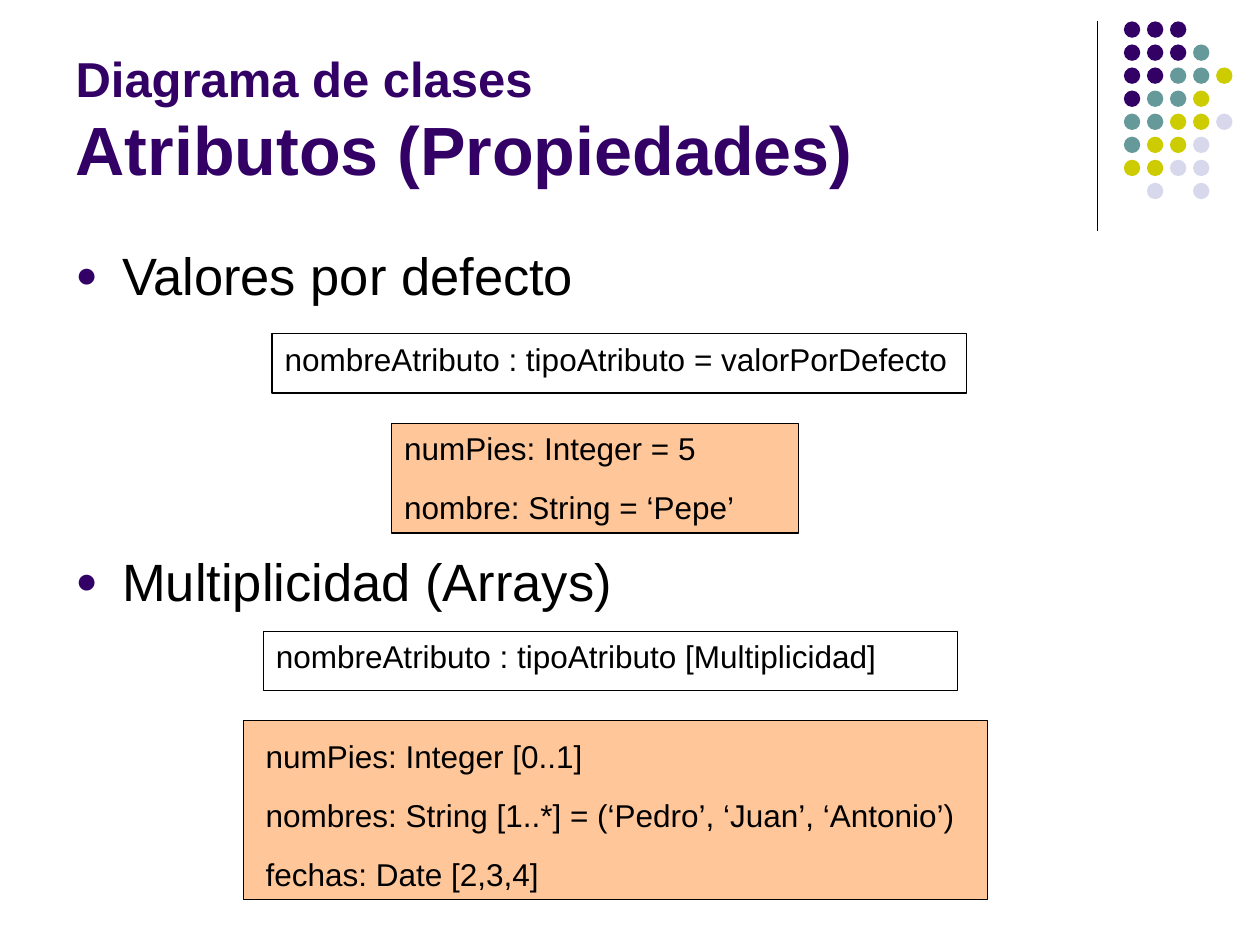
"""Builds a slide on class diagram attributes: default values and multiplicity."""
from lxml.etree import SubElement
from pptx import Presentation
from pptx.dml.color import RGBColor
from pptx.enum.shapes import MSO_CONNECTOR, MSO_SHAPE
from pptx.enum.text import MSO_ANCHOR, MSO_AUTO_SIZE, PP_ALIGN
from pptx.oxml.ns import qn
from pptx.util import Inches, Pt

COLORS = {
    "purple": "330066",
    "teal": "669999",
    "lime": "CCCC00",
    "lilac": "D8D8EC",
    "peach": "FFC799",
    "black": "000000",
}
DOT_COLORS = {"P": "purple", "T": "teal", "L": "lime", "G": "lilac"}
DOT_ROWS = ["PPP", "PPPT", "PPTTL", "PTTL", "TTLLG", "TLLG", "LLGG", " G G"]


class SlideBuilder:
    """Draws styled elements on a grid of 100 columns by 75 rows."""

    font_name = "Arial"
    columns, rows = 100, 75

    def __init__(self, deck):
        """Sets the slide size and opens a title and content page."""
        deck.slide_width, deck.slide_height = Inches(10), Inches(7.5)
        self.column = deck.slide_width / self.columns
        self.row = deck.slide_height / self.rows
        self.page = deck.slides.add_slide(deck.slide_layouts[1])

    def area(self, left, top, width, height):
        """Turns grid units into slide lengths."""
        return (int(left * self.column), int(top * self.row),
                int(width * self.column), int(height * self.row))

    def color(self, name):
        """Looks up a named colour."""
        return RGBColor.from_string(COLORS[name])

    def style(self, font, size, color="black", bold=False):
        """Formats a font."""
        font.name, font.size, font.bold = self.font_name, Pt(size), bold
        font.color.rgb = self.color(color)

    def place(self, holder, area, anchor):
        """Moves a placeholder and returns its text frame."""
        holder.left, holder.top, holder.width, holder.height = self.area(*area)
        frame = holder.text_frame
        frame.auto_size = MSO_AUTO_SIZE.NONE
        frame.vertical_anchor = anchor
        return frame

    def title(self, area, lines):
        """Writes the title from pairs of text and size."""
        frame = self.place(self.page.shapes.title, area, MSO_ANCHOR.BOTTOM)
        para = frame.paragraphs[0]
        para.alignment = PP_ALIGN.LEFT
        for number, (text, size) in enumerate(lines):
            if number:
                para.add_line_break()
            span = para.add_run()
            span.text = text
            self.style(span.font, size, "purple", bold=True)

    def bullets(self, area, items, size, gap):
        """Writes the bulleted list, with a gap in points between items."""
        frame = self.place(self.page.placeholders[1], area, MSO_ANCHOR.TOP)
        frame.text = "\n".join(items)
        for number, para in enumerate(frame.paragraphs):
            properties = para._p.get_or_add_pPr()
            properties.set("marL", str(Inches(0.37)))
            properties.set("indent", str(-Inches(0.37)))
            tint = SubElement(properties, qn("a:buClr"))
            SubElement(tint, qn("a:srgbClr"), val=COLORS["purple"])
            SubElement(properties, qn("a:buSzPct"), val="70000")
            SubElement(properties, qn("a:buFont"), typeface=self.font_name)
            SubElement(properties, qn("a:buChar"), char="●")
            para.space_before = Pt(gap if number else 0)
            self.style(para.font, size)

    def text(self, area, lines, size=18, gap=12):
        """Writes lines of attribute notation."""
        frame = self.page.shapes.add_textbox(*self.area(*area)).text_frame
        frame.word_wrap = True
        frame.text = "\n".join(lines)
        for number, para in enumerate(frame.paragraphs):
            para.space_before = Pt(gap if number else 0)
            self.style(para.font, size)

    def frame(self, area, fill=None):
        """Draws an outlined rectangle, filled when a colour is given."""
        box = self.page.shapes.add_shape(MSO_SHAPE.RECTANGLE, *self.area(*area))
        box.shadow.inherit = False
        if fill:
            box.fill.solid()
            box.fill.fore_color.rgb = self.color(fill)
        else:
            box.fill.background()
        box.line.color.rgb = self.color("black")
        box.line.width = Pt(0.75)

    def rule(self, column, top, bottom):
        """Draws a vertical line."""
        x, start, _, length = self.area(column, top, 0, bottom - top)
        line = self.page.shapes.add_connector(
            MSO_CONNECTOR.STRAIGHT, x, start, x, start + length)
        line.line.color.rgb = self.color("black")
        line.line.width = Pt(0.75)
        SubElement(line._element.spPr, qn("a:effectLst"))

    def dots(self, left, top, pitch, size):
        """Draws the grouped pattern of coloured dots."""
        group = self.page.shapes.add_group_shape()
        for row, codes in enumerate(DOT_ROWS):
            for column, code in enumerate(codes):
                if code == " ":
                    continue
                area = (left + column * pitch, top + row * pitch, size, size)
                dot = group.shapes.add_shape(MSO_SHAPE.OVAL, *self.area(*area))
                dot.shadow.inherit = False
                dot.fill.solid()
                dot.fill.fore_color.rgb = self.color(DOT_COLORS[code])
                dot.line.fill.background()


def main():
    """Builds and saves the deck."""
    deck = Presentation()
    slide = SlideBuilder(deck)
    slide.rule(87.1, 1.7, 18.3)
    slide.dots(89.2, 1.7, pitch=1.83, size=1.3)
    slide.title((5, 1.3, 82.5, 14.2),
                [("Diagrama de clases", 28), ("Atributos (Propiedades)", 39)])
    slide.bullets((5, 18.8, 90, 48.2),
                  ["Valores por defecto", "Multiplicidad (Arrays)"], 30, gap=139)

    slide.frame((31.1, 33.6, 32.3, 8.7), "peach")
    slide.frame((19.3, 57.2, 59.1, 14.2), "peach")
    syntaxes = [
        (21.6, 26.5, "nombreAtributo : tipoAtributo = valorPorDefecto"),
        (20.9, 50.1, "nombreAtributo : tipoAtributo [Multiplicidad]"),
    ]
    for left, top, syntax in syntaxes:
        slide.frame((left, top, 55.1, 4.7))
        slide.text((left, top, 59.8, 4), [syntax])
    slide.text((31.1, 33.6, 37, 8.6),
               ["numPies: Integer = 5", "nombre: String = ‘Pepe’"])
    slide.text((20.1, 58, 59.1, 13.1),
               ["numPies: Integer [0..1]",
                "nombres: String [1..*] = (‘Pedro’, ‘Juan’, ‘Antonio’)",
                "fechas: Date [2,3,4]"])
    deck.save("out.pptx")


if __name__ == "__main__":
    main()
